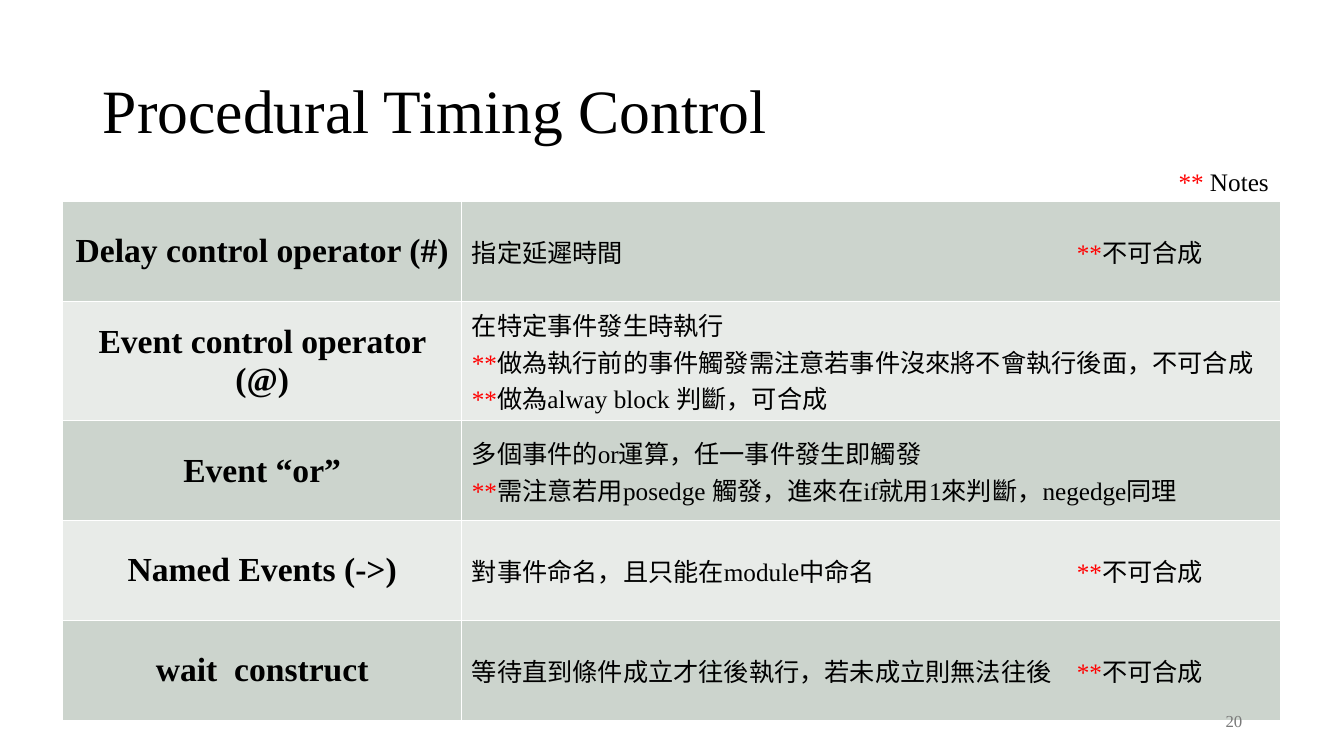
from dataclasses import dataclass

from lxml.etree import SubElement
from pptx import Presentation
from pptx.dml.color import RGBColor
from pptx.enum.text import MSO_ANCHOR, MSO_AUTO_SIZE, PP_ALIGN
from pptx.oxml.ns import qn
from pptx.util import Pt

SCALE = 9144  # EMU in one px, 100 px to the inch


@dataclass(frozen=True)
class Theme:
    font: str = "Times New Roman"
    ink: str = "000000"
    mark: str = "FF0000"
    gray: str = "797979"
    bands: tuple = ("CCD4CD", "E8EBE8")
    title: int = 44
    head: int = 24
    body: int = 18
    small: int = 12


THEME = Theme()
MARK = "**"
TAB = 600  # where the notes start inside a cell

ROWS = [
    ("Delay control operator (#)", "指定延遲時間\t**不可合成"),
    ("Event control operator (@)",
     "在特定事件發生時執行\n"
     "**做為執行前的事件觸發需注意若事件沒來將不會執行後面，不可合成\n"
     "**做為alway block 判斷，可合成"),
    ("Event “or”",
     "多個事件的or運算，任一事件發生即觸發\n"
     "**需注意若用posedge 觸發，進來在if就用1來判斷，negedge同理"),
    ("Named Events (->)", "對事件命名，且只能在module中命名\t**不可合成"),
    ("wait  construct", "等待直到條件成立才往後執行，若未成立則無法往後\t**不可合成"),
]


def px(*nums):
    return [num * SCALE for num in nums]


def add_tab(para, pos):
    tabs = SubElement(para._p.get_or_add_pPr(), qn("a:tabLst"))
    SubElement(tabs, qn("a:tab"), pos=str(pos * SCALE), algn="l")


def write(frame, text, size=THEME.body, color=THEME.ink, bold=False,
          align=PP_ALIGN.LEFT, space=None):
    """Fill a frame line by line, with each note mark in red."""
    for num, line in enumerate(text.split("\n")):
        para = frame.add_paragraph() if num else frame.paragraphs[0]
        para.alignment = align
        if space:
            para.line_spacing = space
        if "\t" in line:
            add_tab(para, TAB)
        for part in line.partition(MARK):
            if not part:
                continue
            run = para.add_run()
            run.text = part
            font = run.font
            font.name, font.size, font.bold = THEME.font, Pt(size), bold
            tint = THEME.mark if part == MARK else color
            font.color.rgb = RGBColor.from_string(tint)


def add_title(slide, text, box):
    title = slide.shapes.title
    title.left, title.top, title.width, title.height = px(*box)
    frame = title.text_frame
    frame.auto_size = MSO_AUTO_SIZE.NONE
    frame.vertical_anchor = MSO_ANCHOR.MIDDLE
    write(frame, text, size=THEME.title, space=0.9)


def add_label(slide, text, box, anchor=MSO_ANCHOR.TOP, **style):
    frame = slide.shapes.add_textbox(*px(*box)).text_frame
    frame.word_wrap = True
    frame.vertical_anchor = anchor
    write(frame, text, **style)


def add_grid(slide, rows, left, top, wide, high):
    box = px(left, top, sum(wide), high * len(rows))
    grid = slide.shapes.add_table(len(rows), len(wide), *box).table
    grid.first_row = grid.horz_banding = False
    for col, width in zip(grid.columns, px(*wide)):
        col.width = width
    styles = (dict(size=THEME.head, bold=True, align=PP_ALIGN.CENTER), {})
    for num, row in enumerate(rows):
        band = THEME.bands[num % len(THEME.bands)]
        for col, (text, style) in enumerate(zip(row, styles)):
            cell = grid.cell(num, col)
            cell.fill.solid()
            cell.fill.fore_color.rgb = RGBColor.from_string(band)
            cell.vertical_anchor = MSO_ANCHOR.MIDDLE
            write(cell.text_frame, text, **style)


def main():
    deck = Presentation()
    deck.slide_width, deck.slide_height = px(1333, 750)
    slide = deck.slides.add_slide(deck.slide_layouts.get_by_name("Title Only"))

    # Operators and what they do
    add_grid(slide, ROWS, 62, 200, (396, 812), 99)

    # Title, page number and key to the marks
    add_title(slide, "Procedural Timing Control", (92, 40, 1150, 145))
    add_label(slide, "20", (942, 695, 300, 40), anchor=MSO_ANCHOR.MIDDLE,
              size=THEME.small, color=THEME.gray, align=PP_ALIGN.RIGHT)
    add_label(slide, "** Notes", (1159, 160, 112, 40))

    deck.save("out.pptx")


if __name__ == "__main__":
    main()
